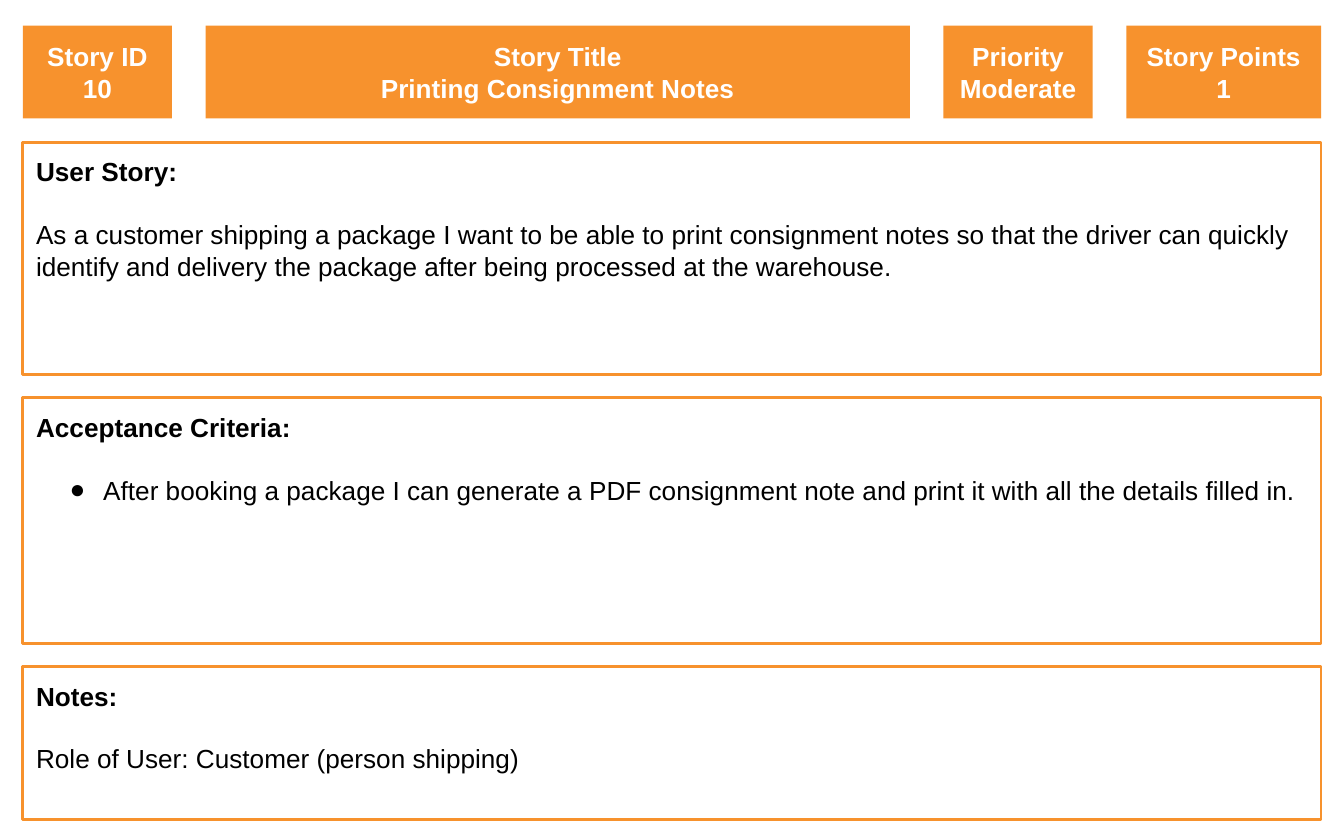
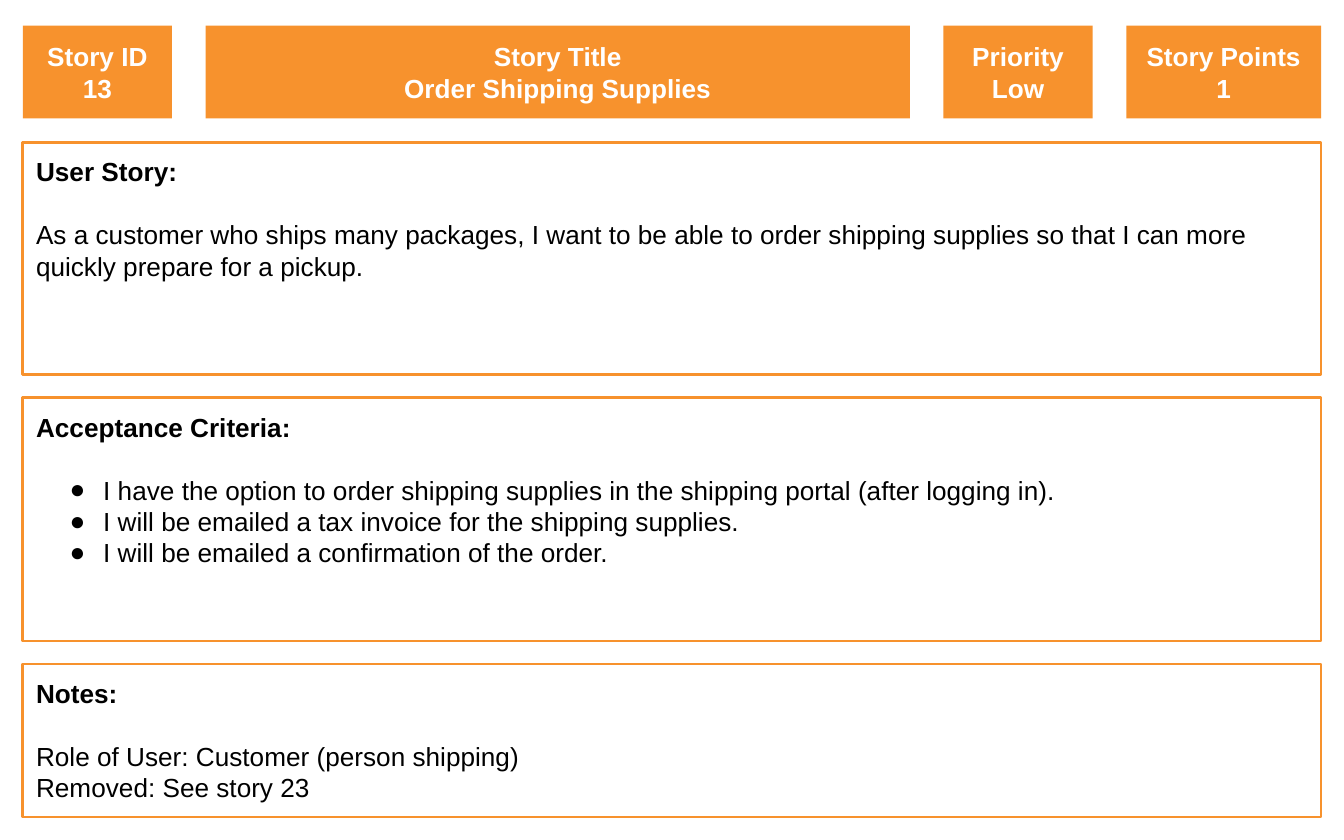
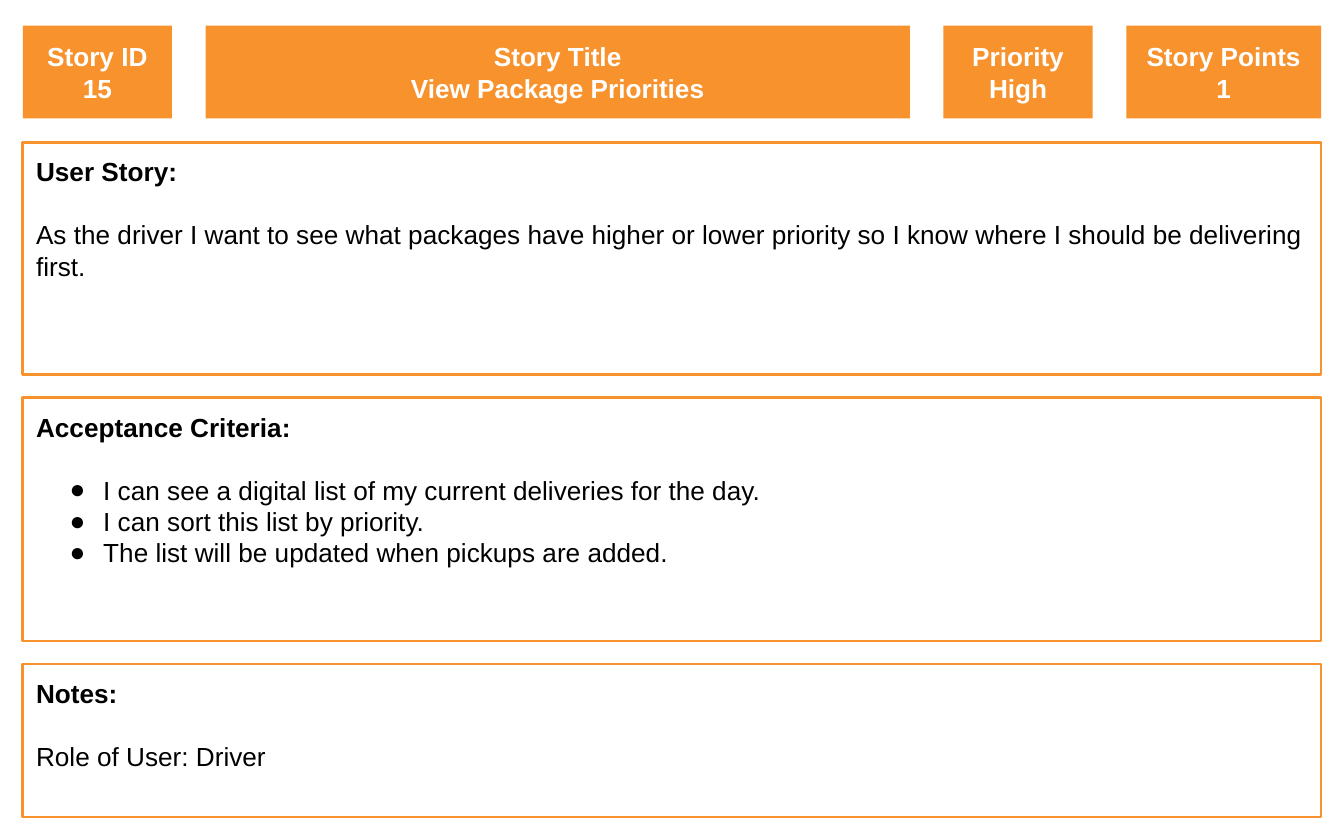
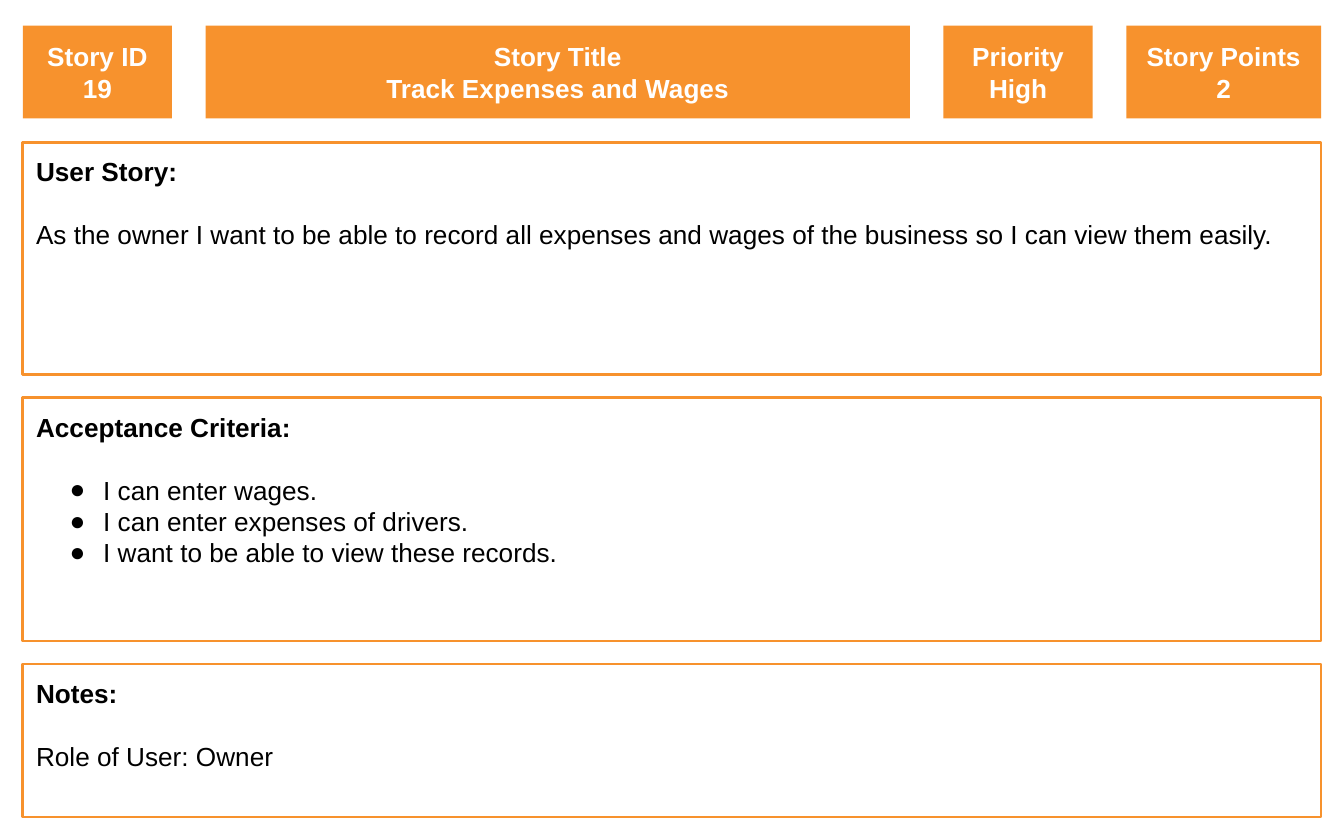
from lxml import etree
from pptx import Presentation
from pptx import util as u
from pptx.dml.color import RGBColor
from pptx.enum import shapes, text
from pptx.oxml.ns import qn

ORANGE = RGBColor(0xF7, 0x92, 0x2D)
WHITE = RGBColor(0xFF, 0xFF, 0xFF)
BLACK = RGBColor(0x00, 0x00, 0x00)

LEFT, HEADER_TOP, HEADER_HEIGHT, HEADER_GAP = 0.17, 0.19, 0.69, 0.25
HEADERS = [("Story ID", 1.11), ("Story Title", 5.24), ("Priority", 1.11), ("Story Points", 1.45)]
PANEL_TOP, PANEL_WIDTH, PANEL_GAP = 1.06, 9.66, 0.17
STORY_HEIGHT, NOTES_HEIGHT = 1.73, 1.14

STORIES = [
    {
        "header": ["10", "Printing Consignment Notes", "Moderate", "1"],
        "story": "As a customer shipping a package I want to be able to print consignment notes "
                 "so that the driver can quickly identify and delivery the package after being "
                 "processed at the warehouse.",
        "criteria": ["After booking a package I can generate a PDF consignment note and print it "
                     "with all the details filled in."],
        "criteria_height": 1.83,
        "notes": ["Role of User: Customer (person shipping)"],
    },
    {
        "header": ["13", "Order Shipping Supplies", "Low", "1"],
        "story": "As a customer who ships many packages, I want to be able to order shipping "
                 "supplies so that I can more quickly prepare for a pickup.",
        "criteria": ["I have the option to order shipping supplies in the shipping portal "
                     "(after logging in).",
                     "I will be emailed a tax invoice for the shipping supplies.",
                     "I will be emailed a confirmation of the order."],
        "criteria_height": 1.81,
        "notes": ["Role of User: Customer (person shipping)", "Removed: See story 23"],
    },
    {
        "header": ["15", "View Package Priorities", "High", "1"],
        "story": "As the driver I want to see what packages have higher or lower priority so I "
                 "know where I should be delivering first.",
        "criteria": ["I can see a digital list of my current deliveries for the day.",
                     "I can sort this list by priority.",
                     "The list will be updated when pickups are added."],
        "criteria_height": 1.81,
        "notes": ["Role of User: Driver"],
    },
    {
        "header": ["19", "Track Expenses and Wages", "High", "2"],
        "story": "As the owner I want to be able to record all expenses and wages of the business "
                 "so I can view them easily.",
        "criteria": ["I can enter wages.",
                     "I can enter expenses of drivers.",
                     "I want to be able to view these records."],
        "criteria_height": 1.81,
        "notes": ["Role of User: Owner"],
    },
]


class StoryCards:
    """Draws user story cards in one shared style on the current slide."""

    font = "Arial"
    size = u.Pt(14)
    blank_line = u.Pt(16.8)

    def __init__(self, prs):
        self.prs = prs
        self.s = None

    def new_slide(self):
        self.s = self.prs.slides.add_slide(self.prs.slide_layouts[6])

    def box(self, x, y, w, h, fill, anchor):
        sp = self.s.shapes.add_shape(shapes.MSO_SHAPE.RECTANGLE, u.Inches(x), u.Inches(y),
                                     u.Inches(w), u.Inches(h))
        sp.shadow.inherit = False
        sp.fill.solid()
        sp.fill.fore_color.rgb = fill
        tf = sp.text_frame
        tf.word_wrap = True
        tf.vertical_anchor = anchor
        tf.margin_left = tf.margin_right = tf.margin_top = tf.margin_bottom = u.Inches(0.1)
        return sp

    def set_lines(self, tf, lines, color, align):
        tf.text = "\n".join(lines)
        for p in tf.paragraphs:
            p.alignment = align
            for r in p.runs:
                r.font.name = self.font
                r.font.size = self.size
                r.font.bold = True
                r.font.color.rgb = color

    def bullet(self, p):
        pPr = p._p.get_or_add_pPr()
        pPr.set("marL", str(u.Inches(0.5)))
        pPr.set("indent", str(-u.Inches(0.25)))
        color = etree.SubElement(pPr, qn("a:buClr"))
        etree.SubElement(color, qn("a:srgbClr"), val=str(BLACK))
        etree.SubElement(pPr, qn("a:buFont"), typeface=self.font)
        etree.SubElement(pPr, qn("a:buChar"), char="●")

    def header(self, x, w, label, value):
        sp = self.box(x, HEADER_TOP, w, HEADER_HEIGHT, ORANGE, text.MSO_ANCHOR.MIDDLE)
        sp.line.fill.background()
        self.set_lines(sp.text_frame, [label, value], WHITE, text.PP_ALIGN.CENTER)

    def panel(self, y, h, heading, lines, bulleted=False):
        sp = self.box(LEFT, y, PANEL_WIDTH, h, WHITE, text.MSO_ANCHOR.TOP)
        sp.line.color.rgb = ORANGE
        sp.line.width = u.Pt(1.5)
        tf = sp.text_frame
        self.set_lines(tf, [heading, *lines], BLACK, text.PP_ALIGN.LEFT)
        body = tf.paragraphs[1:]
        body[0].space_before = self.blank_line
        for p in body:
            p.runs[0].font.bold = False
            if bulleted:
                self.bullet(p)

    def card(self, story):
        self.new_slide()
        x = LEFT
        for (label, w), value in zip(HEADERS, story["header"]):
            self.header(x, w, label, value)
            x += w + HEADER_GAP
        panels = [
            ("User Story:", [story["story"]], STORY_HEIGHT, False),
            ("Acceptance Criteria:", story["criteria"], story["criteria_height"], True),
            ("Notes:", story["notes"], NOTES_HEIGHT, False),
        ]
        y = PANEL_TOP
        for heading, lines, h, bulleted in panels:
            self.panel(y, h, heading, lines, bulleted)
            y += h + PANEL_GAP


def main():
    prs = Presentation()
    prs.slide_width = u.Inches(10)
    prs.slide_height = u.Inches(6.25)
    cards = StoryCards(prs)
    for story in STORIES:
        cards.card(story)
    prs.save("out.pptx")


if __name__ == "__main__":
    main()
